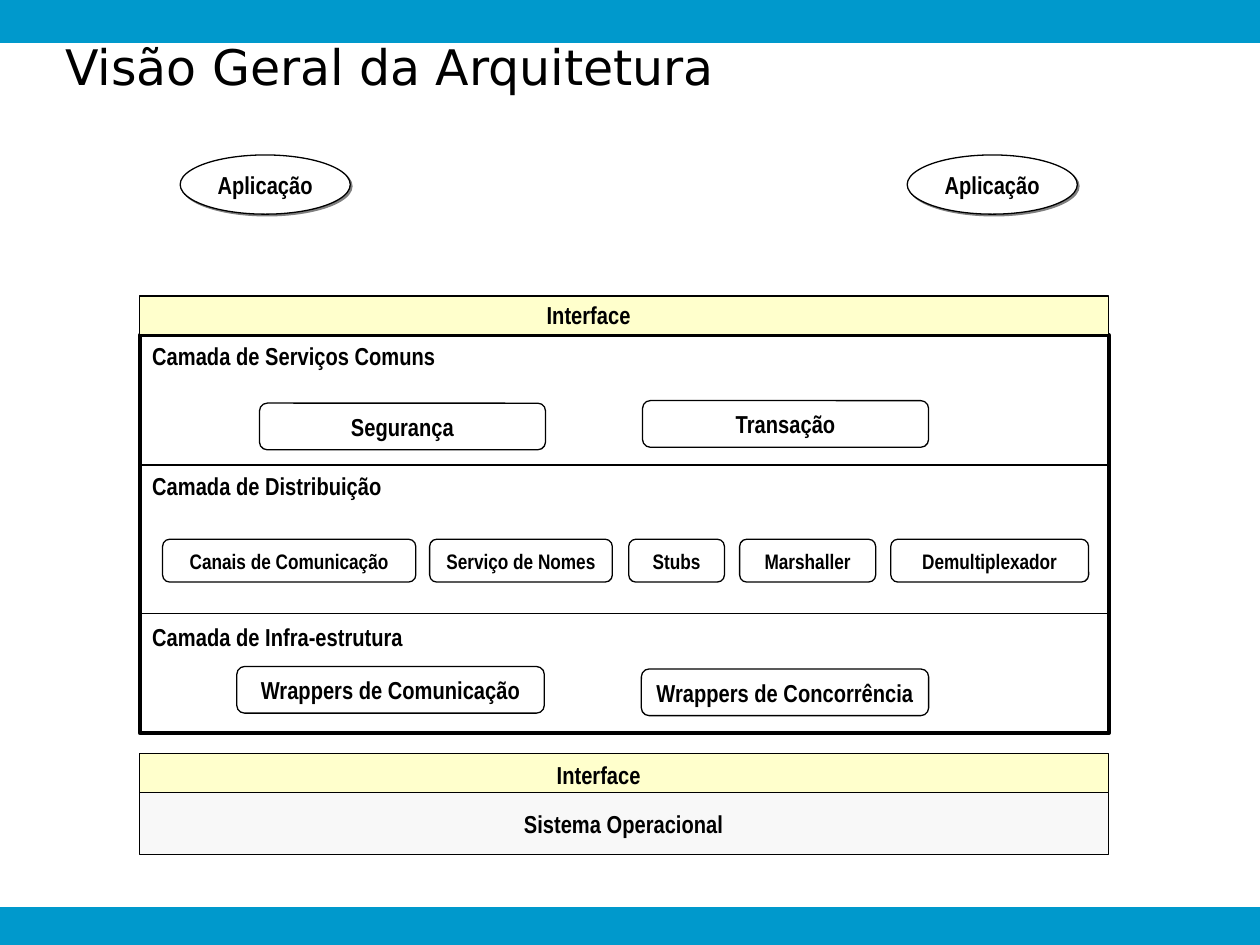
from lxml import etree
from pptx import Presentation
from pptx.dml.color import RGBColor
from pptx.enum.shapes import MSO_CONNECTOR, MSO_SHAPE as SHAPE
from pptx.enum.text import MSO_ANCHOR as ANCHOR, PP_ALIGN as ALIGN
from pptx.oxml import parse_xml
from pptx.oxml.ns import nsdecls, qn
from pptx.util import Inches, Pt

rgb = RGBColor.from_string
BLUE, YELLOW, GREY, WHITE, BLACK = "0099CC", "FFFFCC", "F8F8F8", "FFFFFF", "000000"
LEFT, WIDTH = 1.11, 7.69


def write(shape, text, size=14, font="Arial Narrow", bold=True,
          align=ALIGN.CENTER, anchor=ANCHOR.MIDDLE, wrap=False):
    frame = shape.text_frame
    frame.word_wrap = wrap
    frame.vertical_anchor = anchor
    paragraph = frame.paragraphs[0]
    paragraph.alignment = align
    run = paragraph.add_run()
    run.text = text
    run.font.size = Pt(size)
    run.font.name = font
    run.font.bold = bold
    run.font.color.rgb = rgb(BLACK)


def draw(kind, left, top, width, height, fill=None, line=0.75):
    """Add a preset shape; no fill or a line of 0 leaves that part out."""
    shape = slide.shapes.add_shape(
        kind, Inches(left), Inches(top), Inches(width), Inches(height))
    shape.shadow.inherit = False
    if fill:
        shape.fill.solid()
        shape.fill.fore_color.rgb = rgb(fill)
    else:
        shape.fill.background()
    if line:
        shape.line.color.rgb = rgb(BLACK)
        shape.line.width = Pt(line)
    else:
        shape.line.fill.background()
    return shape


prs = Presentation()
prs.slide_width, prs.slide_height = Inches(10), Inches(7.5)
slide = prs.slides.add_slide(prs.slide_layouts[6])

# Bands and title
for top, height in [(7.2, 0.3), (0, 0.34)]:
    draw(SHAPE.RECTANGLE, 0, top, 10, height, fill=BLUE, line=0)
title = slide.shapes.add_textbox(Inches(0.42), Inches(0.07), Inches(9.41), Inches(0.9))
write(title, "Visão Geral da Arquitetura", size=28, font="DejaVu Sans",
      bold=False, align=ALIGN.LEFT, wrap=True)

# Applications
for left in (1.43, 7.2):
    application = draw(SHAPE.OVAL, left, 1.23, 1.35, 0.47, fill=WHITE)
    effects = application._element.spPr.find(qn("a:effectLst"))
    effects.append(parse_xml(
        f'<a:outerShdw {nsdecls("a")} dist="17780" dir="2700000" algn="ctr" rotWithShape="0">'
        '<a:srgbClr val="808080"/></a:outerShdw>'))
    write(application, "Aplicação")

# Middleware frame and its layers
draw(SHAPE.RECTANGLE, LEFT, 2.66, WIDTH, 3.16, fill=WHITE, line=2.25)
for y in (3.69, 4.87):
    divider = slide.shapes.add_connector(
        MSO_CONNECTOR.STRAIGHT, Inches(LEFT), Inches(y), Inches(LEFT + WIDTH), Inches(y))
    divider.line.color.rgb = rgb(BLACK)
    divider.line.width = Pt(0.75)
    etree.SubElement(divider._element.spPr, qn("a:effectLst"))

components = [
    ("Segurança", 2.06, 3.2, 2.27, 0.37, 14),
    ("Transação", 5.1, 3.18, 2.27, 0.37, 14),
    ("Canais de Comunicação", 1.29, 4.28, 2.01, 0.34, 12),
    ("Serviço de Nomes", 3.41, 4.28, 1.45, 0.34, 12),
    ("Stubs", 4.99, 4.28, 0.76, 0.34, 12),
    ("Marshaller", 5.87, 4.28, 1.08, 0.34, 12),
    ("Demultiplexador", 7.07, 4.28, 1.57, 0.34, 12),
    ("Wrappers de Comunicação", 1.88, 5.29, 2.44, 0.37, 14),
    ("Wrappers de Concorrência", 5.09, 5.31, 2.28, 0.37, 14),
]
for name, left, top, width, height, size in components:
    component = draw(SHAPE.ROUNDED_RECTANGLE, left, top, width, height)
    write(component, name, size=size)

# Interfaces and operating system
for top, height, fill in [(2.35, 0.31, YELLOW), (5.98, 0.31, YELLOW), (6.29, 0.49, GREY)]:
    draw(SHAPE.RECTANGLE, LEFT, top, WIDTH, height, fill=fill)

labels = [
    ("Camada de Serviços Comuns", LEFT, 2.66, 2.5),
    ("Camada de Distribuição", LEFT, 3.69, 2.1),
    ("Camada de Infra-estrutura", LEFT, 4.89, 2.25),
    ("Interface", 4.24, 2.33, 0.92),
    ("Interface", 4.32, 5.98, 0.92),
    ("Sistema Operacional", 4.06, 6.37, 1.85),
]
for text, left, top, width in labels:
    label = slide.shapes.add_textbox(Inches(left), Inches(top), Inches(width), Inches(0.34))
    write(label, text, align=ALIGN.LEFT, anchor=ANCHOR.TOP)

prs.save("out.pptx")
